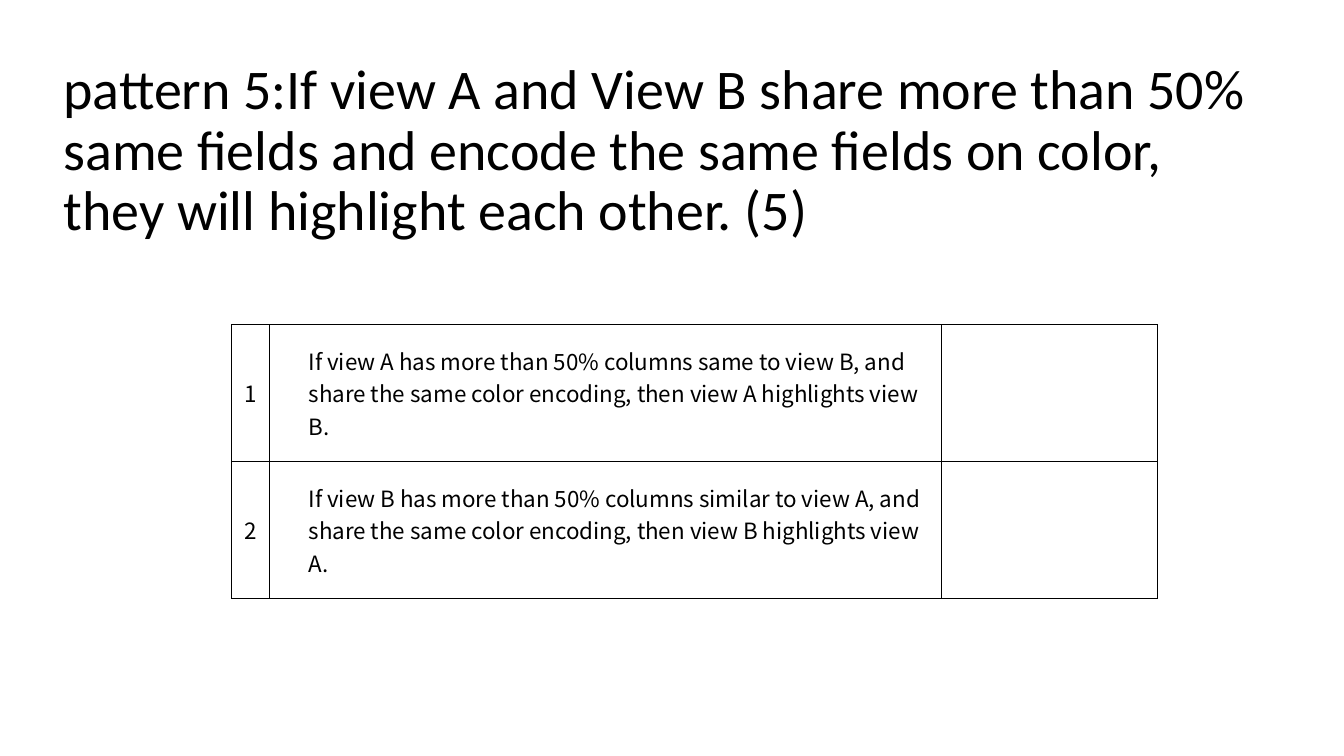
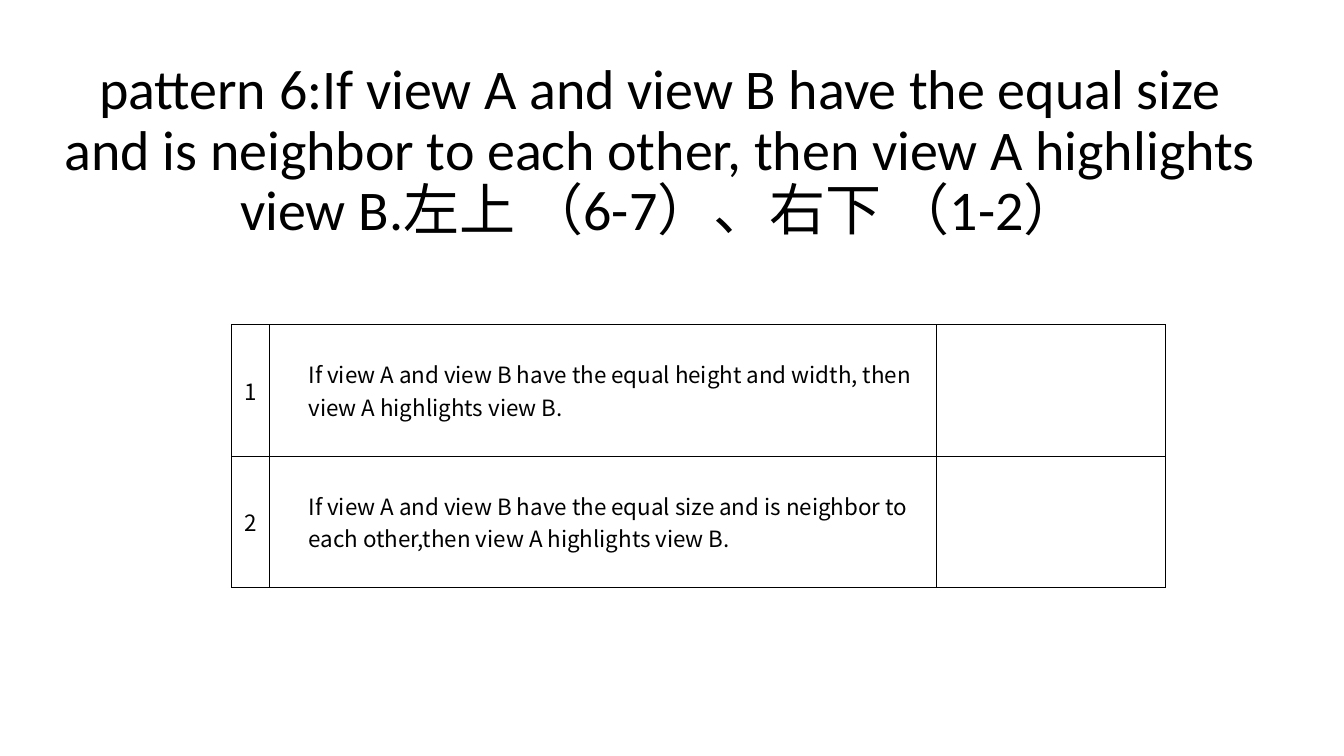
from dataclasses import dataclass

from lxml.etree import SubElement
from pptx import Presentation
from pptx.dml.color import RGBColor
from pptx.enum.text import MSO_ANCHOR, MSO_AUTO_SIZE, PP_ALIGN
from pptx.oxml import parse_xml
from pptx.oxml.ns import nsdecls, qn
from pptx.util import Inches, Pt


@dataclass(frozen=True)
class Theme:
    ink: RGBColor = RGBColor(0, 0, 0)
    paper: RGBColor = RGBColor(255, 255, 255)
    title_font: str = "Calibri"
    rule_font: str = "Noto Sans CJK SC"
    title_size: int = 40
    rule_size: int = 16
    title_spacing: float = 0.9
    border: float = 0.75


@dataclass(frozen=True)
class Pattern:
    title: str
    title_align: PP_ALIGN
    rules: tuple[str, ...]
    column_shares: tuple[float, ...]
    row_share: float


THEME = Theme()
WIDTH, HEIGHT = Inches(13.33), Inches(7.5)
TITLE_SHARES = (3.98, 11.33, 90.25, 21.47)
TABLE_LEFT, TABLE_TOP = 17.25, 42.93
RULE_INDENT = 2.93

PATTERNS = (
    Pattern(
        "pattern 5:If view A and View B share more than 50% same fields and encode "
        "the same fields on color, they will highlight each other. (5)",
        PP_ALIGN.LEFT,
        (
            "If view A has more than 50% columns same to view B, and share the same "
            "color encoding, then view A highlights view B.",
            "If view B has more than 50% columns similar to view A, and share the same "
            "color encoding, then view B highlights view A.",
        ),
        (2.78, 50.04, 16.05),
        18.13,
    ),
    Pattern(
        "pattern 6:If view A and view B have the equal size and is neighbor to each "
        "other, then view A highlights view B.左上 （6-7）、右下 （1-2）",
        PP_ALIGN.CENTER,
        (
            "If view A and view B have the equal height and width, then view A "
            "highlights view B.",
            "If view A and view B have the equal size and is neighbor to each "
            "other,then view A highlights view B.",
        ),
        (2.78, 49.66, 17.03),
        17.4,
    ),
)


def across(share: float) -> int:
    return round(WIDTH * share / 100)


def down(share: float) -> int:
    return round(HEIGHT * share / 100)


def add_text(paragraph, text: str, font: str, size: int, align: PP_ALIGN) -> None:
    paragraph.alignment = align
    run = paragraph.add_run()
    run.text = text
    run.font.name, run.font.size = font, Pt(size)
    run.font.color.rgb = THEME.ink
    latin = run.font._element.find(qn("a:latin"))
    east_asian = SubElement(run.font._element, qn("a:ea"), typeface=THEME.rule_font)
    latin.addnext(east_asian)


def place_title(slide, pattern: Pattern) -> None:
    title = slide.shapes.title
    left, top, width, height = TITLE_SHARES
    title.left, title.top = across(left), down(top)
    title.width, title.height = across(width), down(height)
    frame = title.text_frame
    frame.word_wrap = True
    frame.auto_size = MSO_AUTO_SIZE.NONE
    frame.vertical_anchor = MSO_ANCHOR.BOTTOM
    heading = frame.paragraphs[0]
    heading.line_spacing = THEME.title_spacing
    add_text(heading, pattern.title, THEME.title_font, THEME.title_size, pattern.title_align)


def style_cell(cell) -> None:
    cell.fill.solid()
    cell.fill.fore_color.rgb = THEME.paper
    cell.vertical_anchor = MSO_ANCHOR.MIDDLE
    cell.margin_left = cell.margin_right = cell.margin_top = cell.margin_bottom = 0
    properties = cell._tc.get_or_add_tcPr()
    for position, side in enumerate("LRTB"):
        properties.insert(position, parse_xml(
            f'<a:ln{side} {nsdecls("a")} w="{Pt(THEME.border)}"><a:solidFill>'
            f'<a:srgbClr val="{THEME.ink}"/></a:solidFill></a:ln{side}>'
        ))


def add_rules(slide, pattern: Pattern) -> None:
    widths = [across(share) for share in pattern.column_shares]
    row_height = down(pattern.row_share)
    rules = slide.shapes.add_table(
        len(pattern.rules), len(widths), across(TABLE_LEFT), down(TABLE_TOP),
        sum(widths), row_height * len(pattern.rules),
    ).table
    rules.first_row = rules.horz_banding = False
    for column, width in zip(rules.columns, widths):
        column.width = width
    for row in rules.rows:
        row.height = row_height
    for cell in rules.iter_cells():
        style_cell(cell)
    for index, rule in enumerate(pattern.rules):
        number = rules.cell(index, 0).text_frame.paragraphs[0]
        statement = rules.cell(index, 1).text_frame.paragraphs[0]
        add_text(number, str(index + 1), THEME.rule_font, THEME.rule_size, PP_ALIGN.CENTER)
        add_text(statement, rule, THEME.rule_font, THEME.rule_size, PP_ALIGN.LEFT)
        indent = statement._p.get_or_add_pPr()
        indent.set("marL", str(across(RULE_INDENT)))
        indent.set("indent", "0")


def build() -> None:
    deck = Presentation()
    deck.slide_width, deck.slide_height = WIDTH, HEIGHT
    title_only = deck.slide_layouts[5]
    for pattern in PATTERNS:
        slide = deck.slides.add_slide(title_only)
        place_title(slide, pattern)
        add_rules(slide, pattern)
    deck.save("out.pptx")


build()
